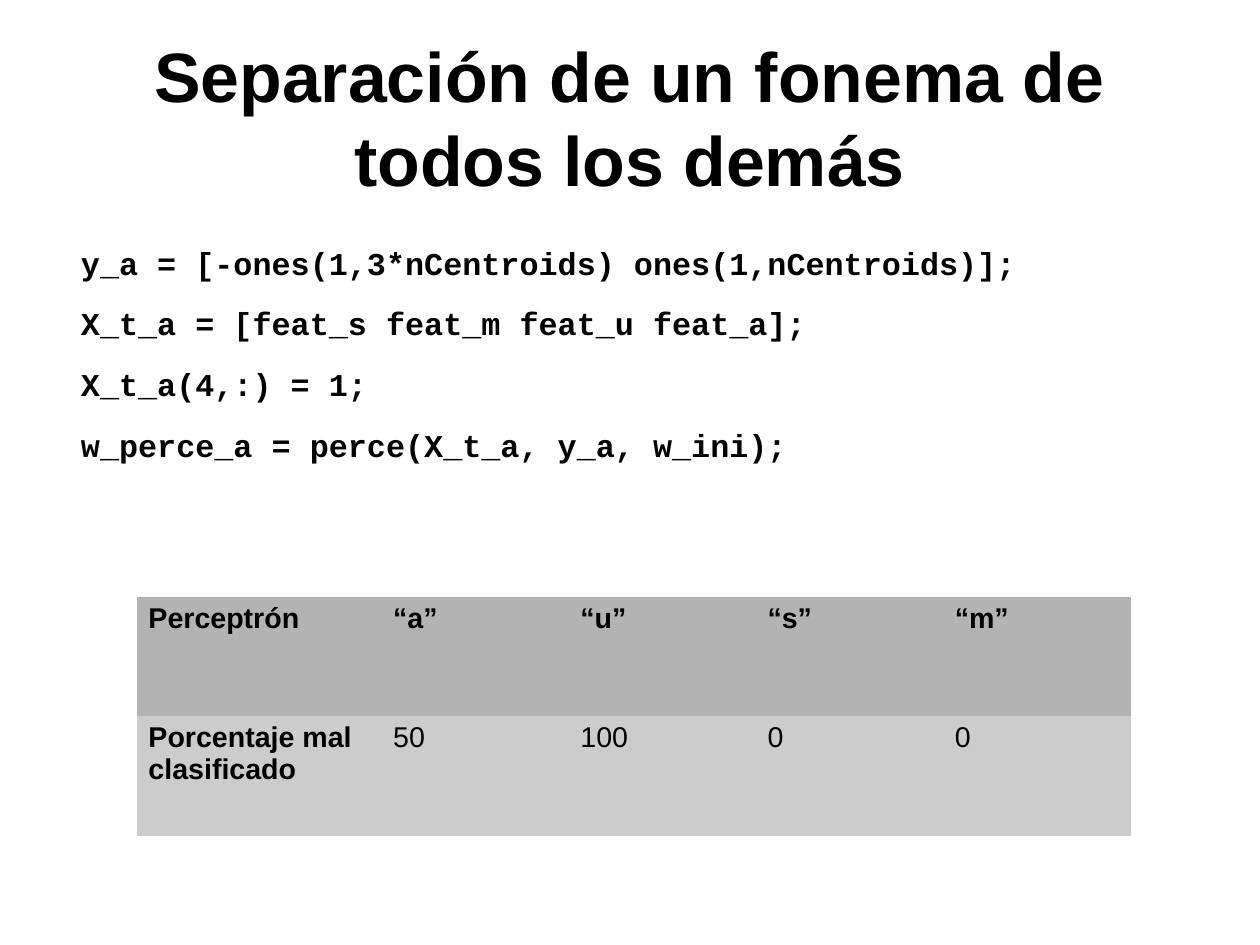
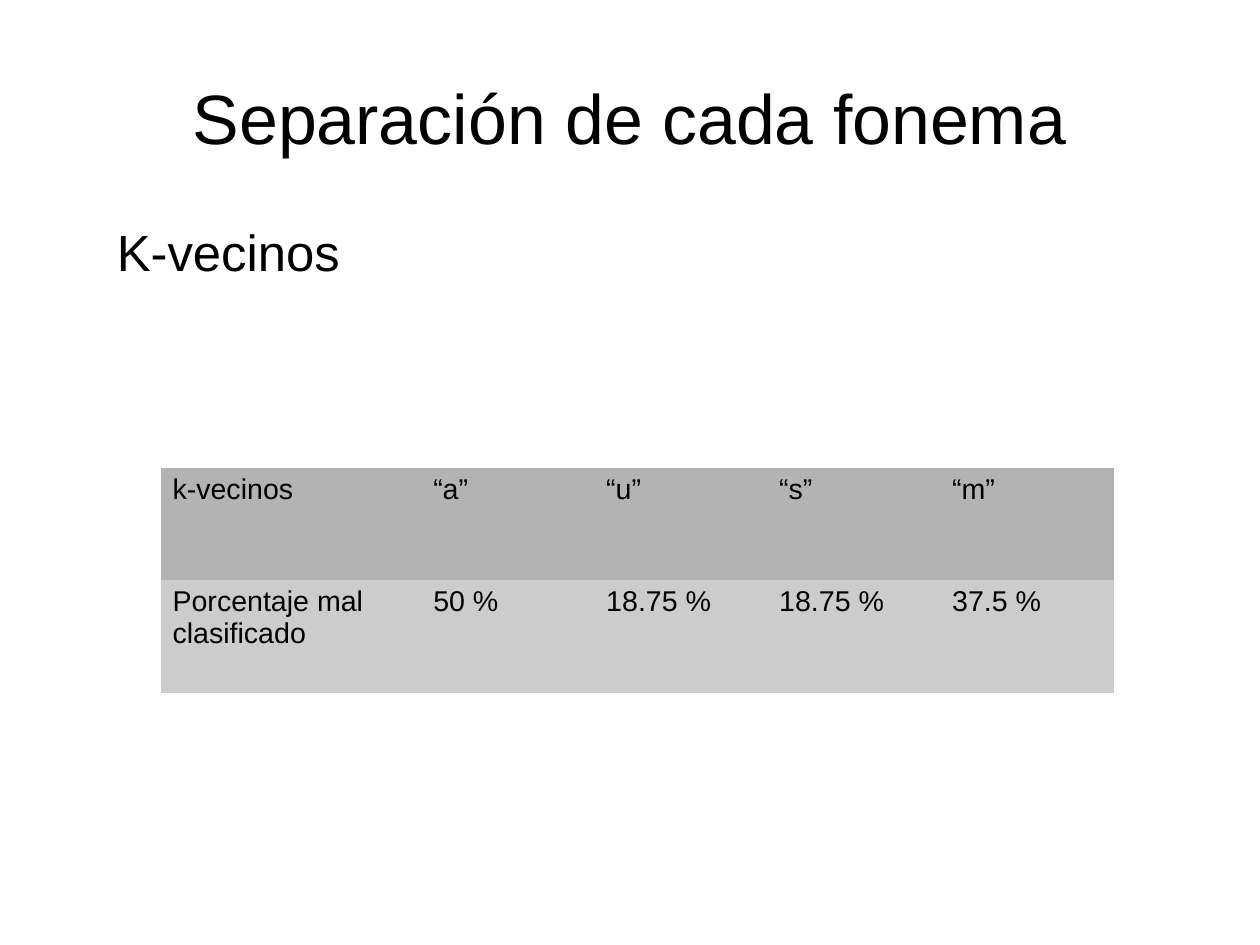
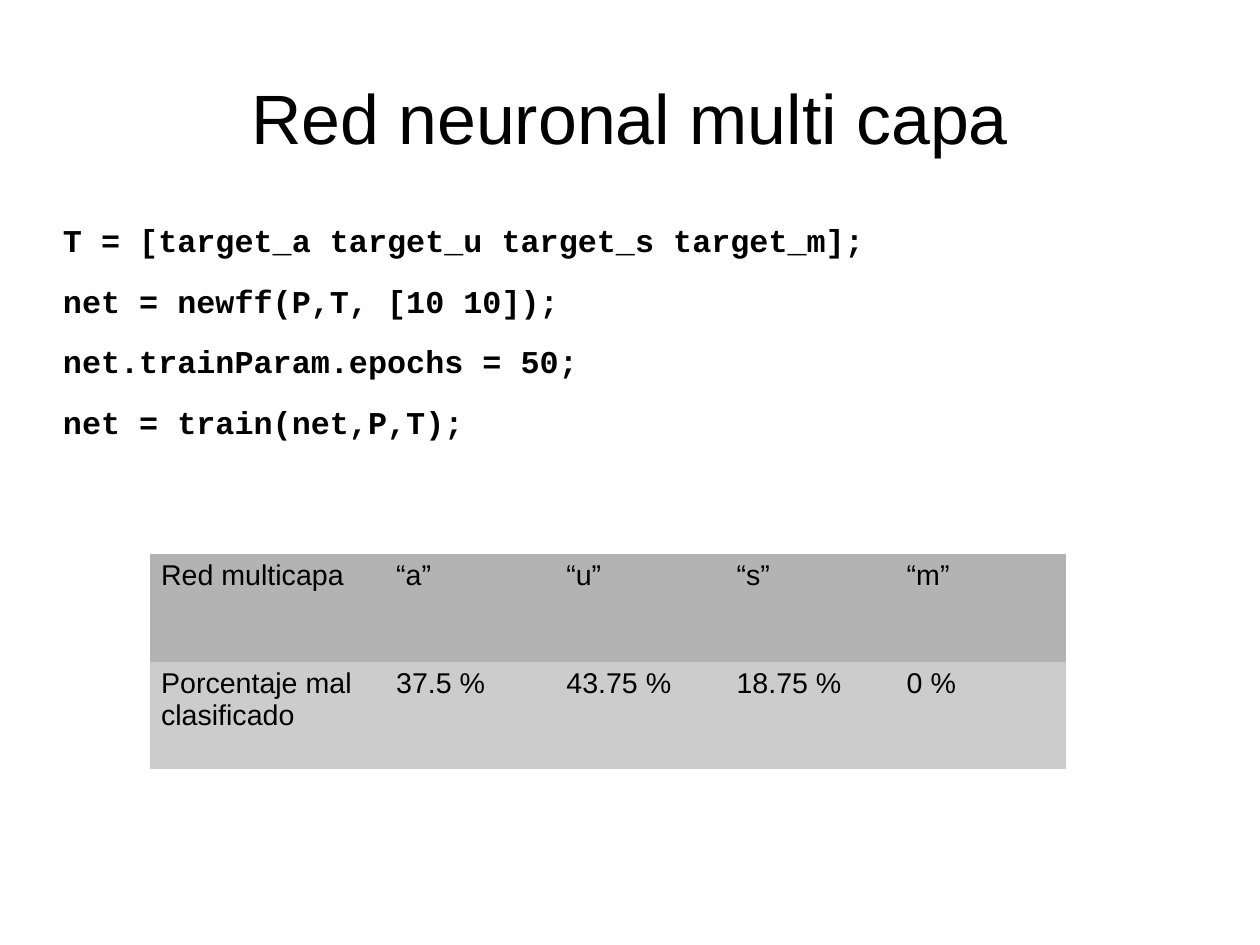
from dataclasses import dataclass

from pptx import Presentation
from pptx import util as u
from pptx.dml.color import RGBColor
from pptx.enum import text


@dataclass(frozen=True)
class Theme:
    ink: RGBColor = RGBColor.from_string("000000")
    head_fill: RGBColor = RGBColor.from_string("B3B3B3")
    body_fill: RGBColor = RGBColor.from_string("CCCCCC")
    sans: str = "Arial"
    mono: str = "Courier New"
    title_size: float = 44
    lead_size: float = 32
    code_size: float = 20
    table_size: float = 18
    gap: float = 14.2
    plain_grid: str = "{2D5ABB26-0587-4C30-8999-92F81FD0307C}"


class Deck:
    """Holds the style and the current slide; lengths are percent of the slide."""

    def __init__(self, theme):
        self.theme = theme
        self.prs = Presentation()
        self.prs.slide_width, self.prs.slide_height = u.Cm(28), u.Cm(21)

    def x(self, share):
        return round(self.prs.slide_width * share / 100)

    def y(self, share):
        return round(self.prs.slide_height * share / 100)

    def font(self, p, name, size, bold=False):
        f = p.font
        f.name, f.size, f.bold = name, u.Pt(size), bold
        f.color.rgb = self.theme.ink

    def frame(self, sp, anchor):
        """Wrapped text frame without insets."""
        tf = sp.text_frame
        tf.word_wrap, tf.auto_size = True, text.MSO_AUTO_SIZE.NONE
        tf.vertical_anchor = anchor
        tf.margin_left = tf.margin_top = tf.margin_right = tf.margin_bottom = 0
        return tf

    def slide(self, title, bold=False):
        self.s = self.prs.slides.add_slide(self.prs.slide_layouts[5])
        sp = self.s.shapes.title
        sp.left, sp.top = self.x(5), self.y(4)
        sp.width, sp.height = self.x(90), self.y(16.7)
        tf = self.frame(sp, text.MSO_ANCHOR.MIDDLE)
        tf.text = title
        p = tf.paragraphs[0]
        p.alignment = text.PP_ALIGN.CENTER
        self.font(p, self.theme.sans, self.theme.title_size, bold)

    def body(self, lines, left, top, name, size, bold=False):
        sp = self.s.shapes.add_textbox(self.x(left), self.y(top), self.x(88), self.y(57.9))
        tf = self.frame(sp, text.MSO_ANCHOR.TOP)
        tf.text = "\n".join(lines)
        for p in tf.paragraphs:
            p.space_after = u.Pt(self.theme.gap)
            self.font(p, name, size, bold)

    def lead(self, line, left, top):
        self.body([line], left, top, self.theme.sans, self.theme.lead_size)

    def code(self, lines, left, top):
        self.body(lines, left, top, self.theme.mono, self.theme.code_size, bold=True)

    def table(self, name, values, left, top, label_w, value_w, row_h, bold_labels=False):
        """One column of labels and one column for each phoneme."""
        rows = [[name, "“a”", "“u”", "“s”", "“m”"],
                ["Porcentaje mal clasificado", *values]]
        widths = [label_w] + [value_w] * len(values)
        table = self.s.shapes.add_table(
            len(rows), len(widths), self.x(left), self.y(top),
            self.x(sum(widths)), self.y(row_h * len(rows))).table
        table.first_row = table.horz_banding = False
        table._tbl.tblPr[0].text = self.theme.plain_grid
        for column, width in zip(table.columns, widths):
            column.width = self.x(width)
        for i, row in enumerate(rows):
            table.rows[i].height = self.y(row_h)
            for j, value in enumerate(row):
                cell = table.cell(i, j)
                cell.fill.solid()
                cell.fill.fore_color.rgb = self.theme.body_fill if i else self.theme.head_fill
                cell.text = value
                self.font(cell.text_frame.paragraphs[0], self.theme.sans,
                          self.theme.table_size, bold_labels and (i == 0 or j == 0))


def main():
    deck = Deck(Theme())

    # Perceptron
    deck.slide("Separación de un fonema de todos los demás", bold=True)
    deck.code(["y_a = [-ones(1,3*nCentroids) ones(1,nCentroids)];",
               "X_t_a = [feat_s feat_m feat_u feat_a];",
               "X_t_a(4,:) = 1;",
               "w_perce_a = perce(X_t_a, y_a, w_ini);"], 6.43, 25.76)
    deck.table("Perceptrón", ["50", "100", "0", "0"], 10.88, 63.14,
               19.42, 14.86, 12.64, bold_labels=True)

    # Nearest neighbours
    deck.slide("Separación de cada fonema")
    deck.lead("K-vecinos", 9.27, 23.34)
    deck.table("k-vecinos", ["50 %", "18.75 %", "18.75 %", "37.5 %"], 12.79, 49.47,
               20.69, 13.73, 11.91)

    # Multilayer network
    deck.slide("Red neuronal multi capa")
    deck.code(["T = [target_a target_u target_s target_m];",
               "net = newff(P,T, [10 10]);",
               "net.trainParam.epochs = 50;",
               "net = train(net,P,T);"], 5, 23.35)
    deck.table("Red multicapa", ["37.5 %", "43.75 %", "18.75 %", "0 %"], 11.88, 58.62,
               18.66, 13.51, 11.39)

    deck.prs.save("out.pptx")


if __name__ == "__main__":
    main()
